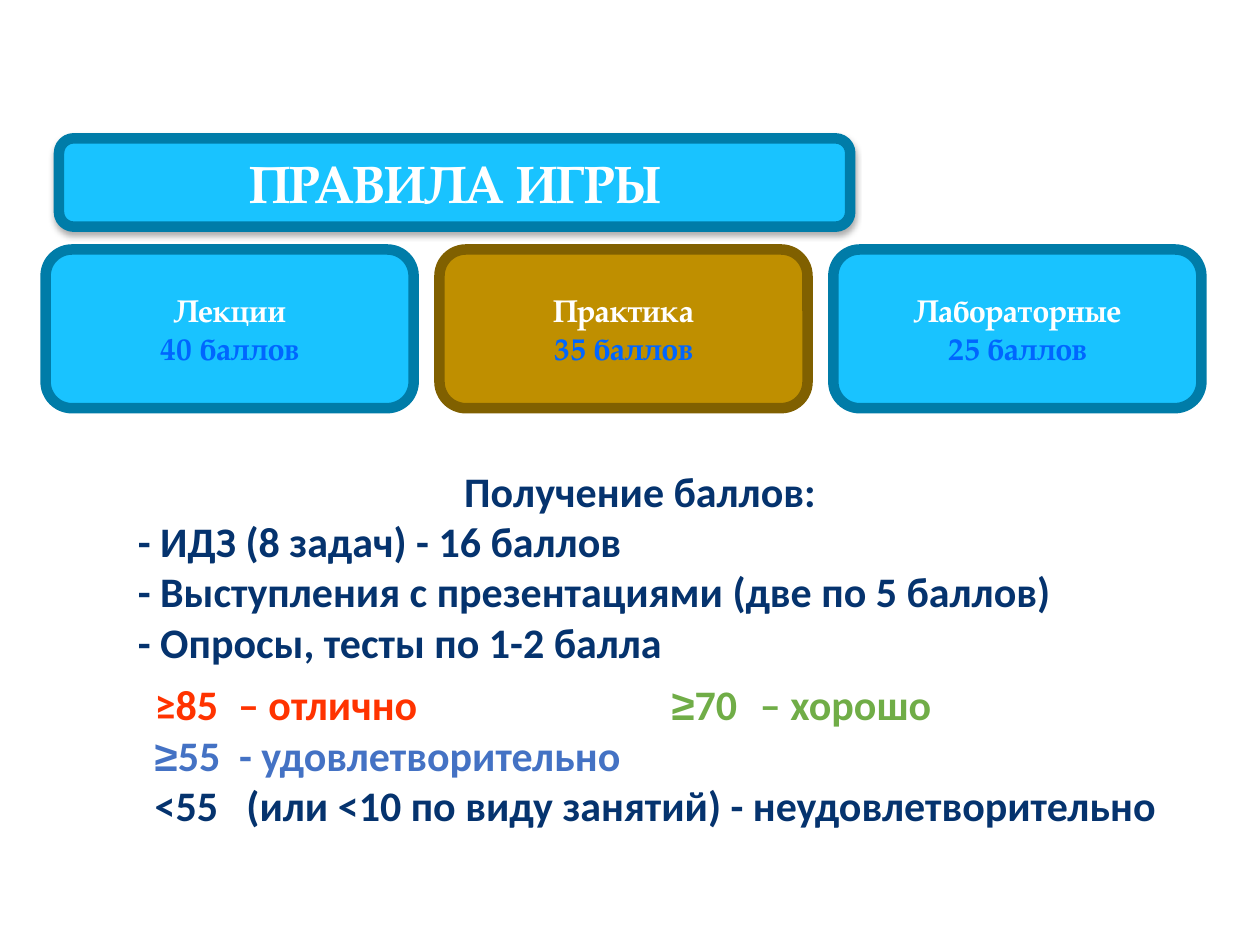
from dataclasses import dataclass

import pptx
import pptx.dml.color
import pptx.enum.shapes
import pptx.enum.text
import pptx.oxml
import pptx.oxml.ns
import pptx.util
from pptx.util import Cm

ALIGN = pptx.enum.text.PP_ALIGN


@dataclass(frozen=True)
class Theme:
    display: str = "TeX Gyre Pagella"
    body: str = "Calibri"
    symbol: str = "Arial"
    title_size: int = 30
    card_size: int = 18
    body_size: int = 24
    border: int = 6
    white: str = "FFFFFF"
    cyan: str = "19C3FF"
    cyan_dark: str = "007CA8"
    gold: str = "BF8F00"
    gold_dark: str = "806000"
    points: str = "0066FF"
    navy: str = "05336E"
    red: str = "FF3300"
    green: str = "70AD47"
    blue: str = "4472C4"


THEME = Theme()


@dataclass(frozen=True)
class Card:
    heading: str
    points: str
    fill: str = THEME.cyan
    border: str = THEME.cyan_dark


@dataclass(frozen=True)
class Piece:
    text: str
    color: str
    font: str = THEME.body


@dataclass(frozen=True)
class Grade:
    pieces: tuple[Piece, ...]
    tabs: tuple[float, ...]  # centimetres


CARDS = (
    Card("Лекции", "40 баллов"),
    Card("Практика", "35 баллов", THEME.gold, THEME.gold_dark),
    Card("Лабораторные", "25 баллов"),
)
SOURCES = (
    "- ИДЗ (8 задач) - 16 баллов",
    "- Выступления с презентациями (две по 5 баллов)",
    "- Опросы, тесты по 1-2 балла",
)
GRADES = (
    Grade((Piece("≥85\t– отлично\t", THEME.red),
           Piece("≥", THEME.green, THEME.symbol),
           Piece("70\t– хорошо", THEME.green)), (1.68, 10.42, 12.2)),
    Grade((Piece("≥", THEME.blue, THEME.symbol),
           Piece("55\t- удовлетворительно", THEME.blue)), (1.7,)),
    Grade((Piece("<55\t(или <10 по виду занятий) - неудовлетворительно", THEME.navy),),
          (1.85,)),
)


def rgb(color: str) -> pptx.dml.color.RGBColor:
    return pptx.dml.color.RGBColor.from_string(color)


def set_font(font, name: str, size: int, color: str) -> None:
    font.name = name
    font.size = pptx.util.Pt(size)
    font.bold = True
    font.color.rgb = rgb(color)


def add_lines(frame, lines: list[tuple[str, str]], name: str, size: int) -> list:
    """Write (text, colour) lines, one paragraph each."""
    for index, (text, color) in enumerate(lines):
        paragraph = frame.add_paragraph() if index else frame.paragraphs[0]
        paragraph.text = text
        set_font(paragraph.font, name, size, color)
    return list(frame.paragraphs)


def add_panel(slide, box: tuple, fill: str, border: str,
              lines: list[tuple[str, str]], size: int):
    panel = slide.shapes.add_shape(
        pptx.enum.shapes.MSO_SHAPE.ROUNDED_RECTANGLE, *box)
    panel.shadow.inherit = False
    panel.fill.solid()
    panel.fill.fore_color.rgb = rgb(fill)
    panel.line.color.rgb = rgb(border)
    panel.line.width = pptx.util.Pt(THEME.border)
    frame = panel.text_frame
    frame.word_wrap = True
    frame.vertical_anchor = pptx.enum.text.MSO_ANCHOR.MIDDLE
    for paragraph in add_lines(frame, lines, THEME.display, size):
        paragraph.alignment = ALIGN.CENTER
    return panel


def add_drop_shadow(shape) -> None:
    effects = shape._element.spPr.find(pptx.oxml.ns.qn("a:effectLst"))
    effects.append(pptx.oxml.parse_xml(
        f'<a:outerShdw {pptx.oxml.ns.nsdecls("a")} blurRad="44450" dist="27940" '
        'dir="5400000" algn="ctr" rotWithShape="0"><a:srgbClr val="000000">'
        '<a:alpha val="32000"/></a:srgbClr></a:outerShdw>'))


def add_text_frame(slide, box: tuple):
    frame = slide.shapes.add_textbox(*box).text_frame
    frame.word_wrap = True
    return frame


def set_tabs(paragraph, stops: tuple[float, ...]) -> None:
    tabs = "".join(f'<a:tab pos="{Cm(stop)}" algn="l"/>' for stop in stops)
    paragraph._p.get_or_add_pPr().append(pptx.oxml.parse_xml(
        f'<a:tabLst {pptx.oxml.ns.nsdecls("a")}>{tabs}</a:tabLst>'))


def add_grade(paragraph, grade: Grade) -> None:
    set_tabs(paragraph, grade.tabs)
    set_font(paragraph.font, THEME.body, THEME.body_size, grade.pieces[0].color)
    for piece in grade.pieces:
        run = paragraph.add_run()
        run.text = piece.text
        if len(grade.pieces) > 1:
            set_font(run.font, piece.font, THEME.body_size, piece.color)


def main() -> None:
    deck = pptx.Presentation()
    deck.slide_width, deck.slide_height = Cm(25.4), Cm(19.05)
    slide = deck.slides.add_slide(deck.slide_layouts[6])

    # Row of class types
    card_left, card_step = 0.92, 7.94
    for index, card in enumerate(CARDS):
        box = (Cm(card_left + index * card_step), Cm(5.03), Cm(7.42), Cm(3.2))
        add_panel(slide, box, card.fill, card.border,
                  [(card.heading, THEME.white), (card.points, THEME.points)],
                  THEME.card_size)

    # How points are earned
    earning = add_text_frame(slide, (Cm(2.34), Cm(9.25), Cm(21.13), Cm(4.32)))
    lines = [(text, THEME.navy) for text in ("Получение баллов:", *SOURCES)]
    heading, *items = add_lines(earning, lines, THEME.body, THEME.body_size)
    heading.alignment = ALIGN.CENTER
    for item in items:
        item._p.get_or_add_pPr().set("marL", str(Cm(0.19)))

    # Title
    title = add_panel(slide, (Cm(1.19), Cm(2.79), Cm(15.95), Cm(1.78)),
                      THEME.cyan, THEME.cyan_dark,
                      [("ПРАВИЛА ИГРЫ", THEME.white)], THEME.title_size)
    add_drop_shadow(title)

    # Grade thresholds
    scale = add_text_frame(slide, (Cm(1.6), Cm(13.56), Cm(23.39), Cm(4.06)))
    scale.margin_left = Cm(1.52)
    for index, grade in enumerate(GRADES):
        add_grade(scale.add_paragraph() if index else scale.paragraphs[0], grade)

    deck.save("out.pptx")


if __name__ == "__main__":
    main()
